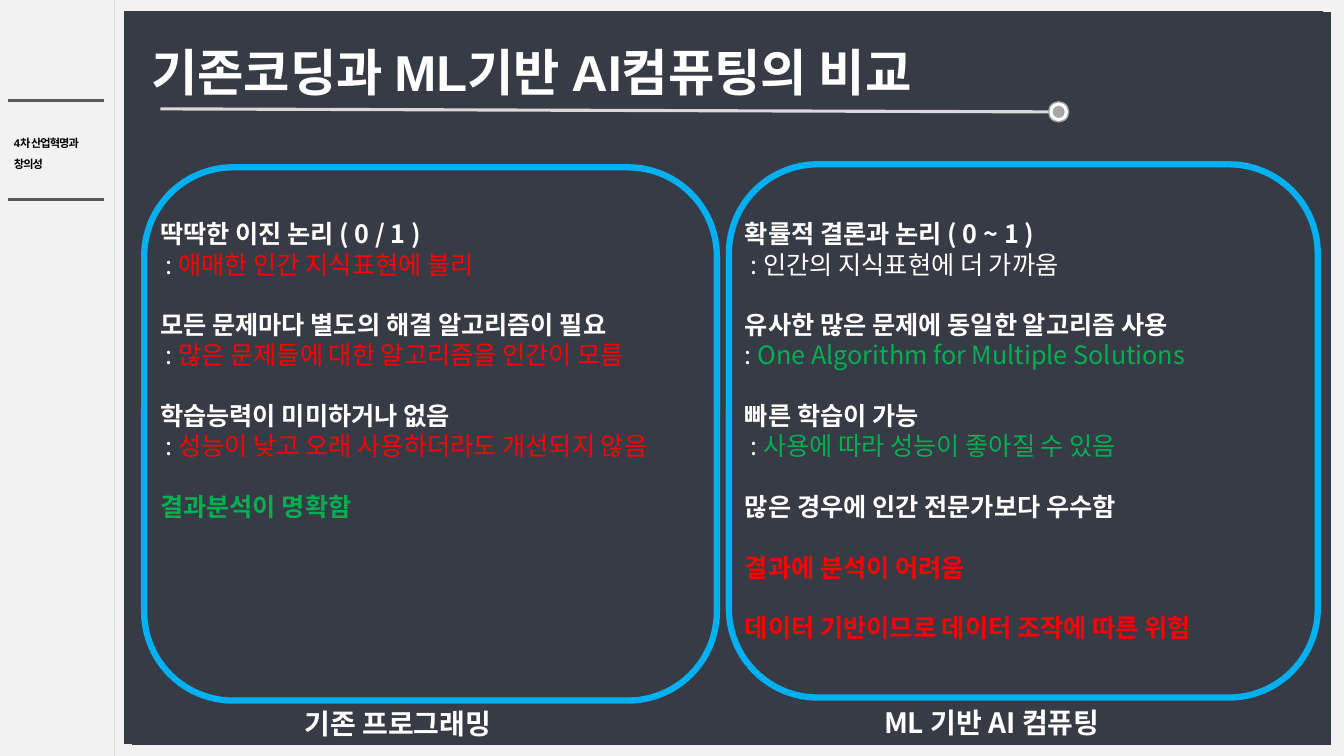
import pptx
import pptx.util
import pptx.dml.color
import pptx.enum.shapes
import pptx.enum.text
import pptx.oxml.ns
from lxml import etree

PX = 9144  # 100 px to the inch
COLORS = {"page": "F2F2F2", "panel": "373B46", "white": "FFFFFF", "black": "000000",
          "rule": "D9D9D9", "side_rule": "595959", "knob": "A6A6A6",
          "frame": "00B0F0", "bad": "FF0000", "good": "00B050"}
KOREAN = "Noto Sans CJK KR"
SHAPE = pptx.enum.shapes.MSO_SHAPE
ANCHOR = pptx.enum.text.MSO_ANCHOR
BLANK_LINE = 21.7  # points between topics

# Each topic: heading, heading colour, then the runs of its detail line
CODING = [
    ("딱딱한 이진 논리 ( 0 / 1 )", "white", [(" : ", "white"), ("애매한 인간 지식표현에 불리", "bad")]),
    ("모든 문제마다 별도의 해결 알고리즘이 필요", "white",
     [(" : ", "white"), ("많은 문제들에 대한 알고리즘을 인간이 모름", "bad")]),
    ("학습능력이 미미하거나 없음", "white",
     [(" : ", "white"), ("성능이 낮고 오래 사용하더라도 개선되지 않음", "bad")]),
    ("결과분석이 명확함", "good", []),
]
LEARNING = [
    ("확률적 결론과 논리 ( 0 ~ 1 )", "white", [(" : 인간의 지식표현에 더 가까움", "white")]),
    ("유사한 많은 문제에 동일한 알고리즘 사용", "white",
     [(": ", "white"), ("One Algorithm for Multiple Solutions", "good")]),
    ("빠른 학습이 가능", "white", [(" : ", "white"), ("사용에 따라 성능이 좋아질 수 있음", "good")]),
    ("많은 경우에 인간 전문가보다 우수함", "white", []),
    ("결과에 분석이 어려움", "bad", []),
    ("데이터 기반이므로 데이터 조작에 따른 위험", "bad", []),
]


def px(*lengths):
    return [pptx.util.Emu(n * PX) for n in lengths]


def rgb(name):
    return pptx.dml.color.RGBColor.from_string(COLORS[name])


def add_shape(parent, kind, box, fill=None, line=None, width=1):
    s = parent.add_shape(kind, *px(*box))
    s.shadow.inherit = False
    if fill:
        s.fill.solid()
        s.fill.fore_color.rgb = rgb(fill)
    else:
        s.fill.background()
    if line:
        s.line.color.rgb = rgb(line)
        s.line.width = pptx.util.Pt(width)
    else:
        s.line.fill.background()
    return s


def add_line(slide, ends, color, width):
    c = slide.shapes.add_connector(pptx.enum.shapes.MSO_CONNECTOR.STRAIGHT, *px(*ends))
    c.line.color.rgb = rgb(color)
    c.line.width = pptx.util.Pt(width)
    etree.SubElement(c._element.spPr, pptx.oxml.ns.qn("a:effectLst"))


def add_text(slide, box, wrap=True, anchor=ANCHOR.TOP):
    tf = slide.shapes.add_textbox(*px(*box)).text_frame
    tf.word_wrap = wrap
    tf.vertical_anchor = anchor
    if not wrap:
        tf.auto_size = pptx.enum.text.MSO_AUTO_SIZE.SHAPE_TO_FIT_TEXT
    return tf


def add_run(p, text, color, size, bold=True, font=KOREAN):
    r = p.add_run()
    r.text = text
    values = {"name": font, "size": pptx.util.Pt(size), "bold": bold}
    for key, value in values.items():
        setattr(r.font, key, value)
    r.font.color.rgb = rgb(color)
    rpr = r.font._element
    etree.SubElement(rpr, pptx.oxml.ns.qn("a:ea")).set("typeface", KOREAN)
    return rpr


def next_paragraph(tf, index):
    return tf.add_paragraph() if index else tf.paragraphs[0]


def draw_sidebar(slide, x, y, w, h):
    tf = add_text(slide, (x + 4, y + 104, 104, 90), anchor=ANCHOR.MIDDLE)
    for i, text in enumerate(["4차 산업혁명과", "창의성"]):
        p = next_paragraph(tf, i)
        p.alignment = pptx.enum.text.PP_ALIGN.JUSTIFY
        p.line_spacing = 1.5
        add_run(p, text, "black", 8, font="Arial").set("spc", "-70")
    add_line(slide, (x + w, y, x + w, y + h), "rule", 0.75)
    for rule_y in (y + 198, y + 100):
        add_line(slide, (x + 8, rule_y, x + 103, rule_y), "side_rule", 2)


def draw_backdrop(slide, x, y, w, h):
    for dx, dy in ((8, 1), (0, 0)):
        add_shape(slide.shapes, SHAPE.RECTANGLE, (x + dx, y + dy, w, h), "panel")


def draw_title(slide, x, y, w, h):
    tf = add_text(slide, (x, y, w, h), anchor=ANCHOR.MIDDLE)
    add_run(tf.paragraphs[0], "기존코딩과 ML기반 AI컴퓨팅의 비교", "white", 36, font="Arial")
    add_line(slide, (x + 19, y + 79, x + 900, y + 82), "rule", 2.25)
    # Round knob at the end of the underline
    knob = slide.shapes.add_group_shape().shapes
    add_shape(knob, SHAPE.OVAL, (x + 900, y + 72, 20, 20), "white", "knob")
    add_shape(knob, SHAPE.OVAL, (x + 904, y + 76, 12, 12), "knob")


def draw_column(slide, x, y, w, h, topics, text_box, caption, caption_box):
    tf = add_text(slide, text_box, wrap=False)
    for i, (heading, color, detail) in enumerate(topics):
        p = next_paragraph(tf, i)
        if i:
            p.space_before = pptx.util.Pt(BLANK_LINE)
        add_run(p, heading, color, 18)
        if detail:
            p = tf.add_paragraph()
            for text, detail_color in detail:
                add_run(p, text, detail_color, 18, bold=False)
    add_shape(slide.shapes, SHAPE.ROUNDED_RECTANGLE, (x, y, w, h), line="frame", width=4.5)
    tf = add_text(slide, caption_box, wrap=False)
    add_run(tf.paragraphs[0], caption, "white", 20)


def main():
    prs = pptx.Presentation()
    prs.slide_width, prs.slide_height = px(1333, 750)
    slide = prs.slides.add_slide(prs.slide_layouts[6])
    slide.background.fill.solid()
    slide.background.fill.fore_color.rgb = rgb("page")

    draw_sidebar(slide, 0, 0, 114, 750)
    draw_backdrop(slide, 123, 11, 1189, 727)
    draw_title(slide, 140, 29, 1161, 83)
    draw_column(slide, 143, 166, 568, 529, CODING, (149, 212, 568, 313),
                "기존 프로그래밍", (292, 696, 226, 44))
    draw_column(slide, 723, 163, 584, 529, LEARNING, (729, 212, 519, 434),
                "ML 기반 AI 컴퓨팅", (867, 695, 260, 44))
    prs.save("out.pptx")


if __name__ == "__main__":
    main()
